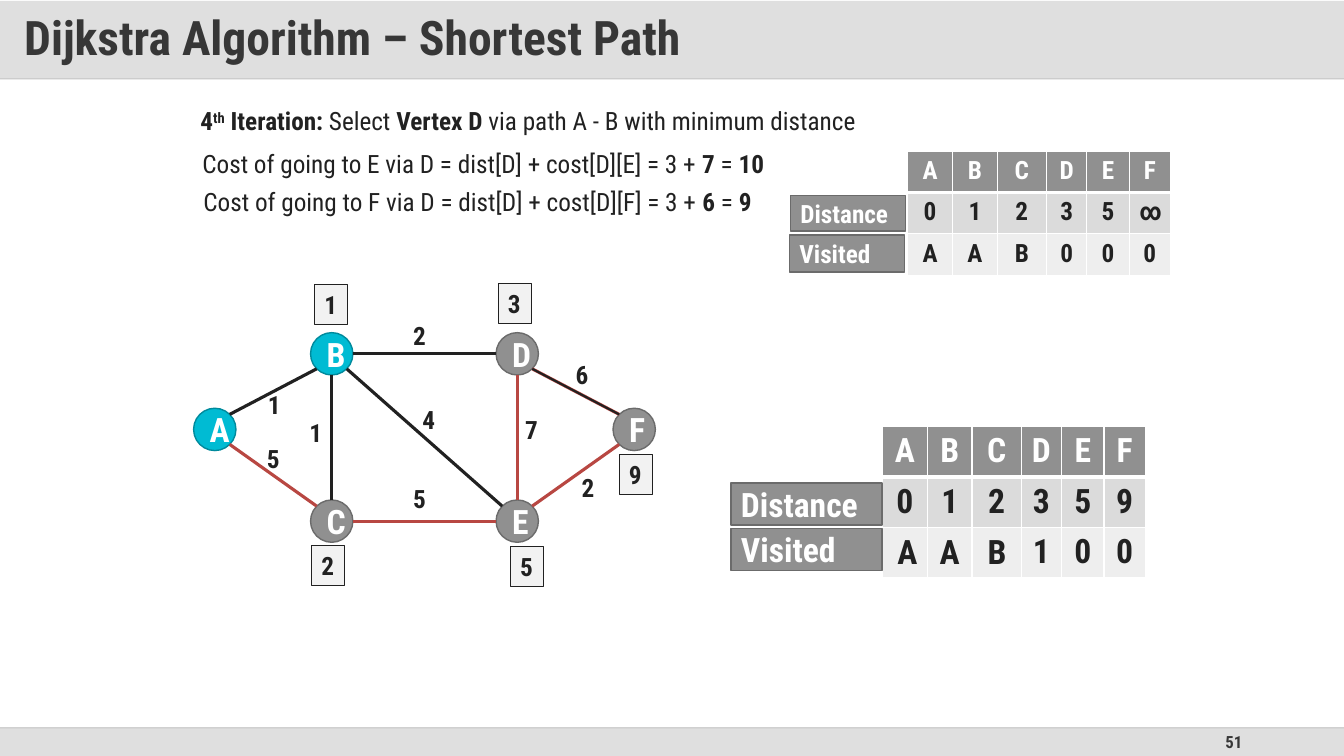
"""Build a slide showing the fourth iteration of Dijkstra's shortest path algorithm."""
from lxml import etree
from pptx import Presentation
from pptx.dml.color import RGBColor
from pptx.enum.shapes import MSO_CONNECTOR, MSO_SHAPE
from pptx.enum.text import MSO_ANCHOR, MSO_AUTO_SIZE, PP_ALIGN
from pptx.oxml.ns import qn
from pptx.util import Pt

RECTANGLE, ELLIPSE = MSO_SHAPE.RECTANGLE, MSO_SHAPE.OVAL
STRAIGHT = MSO_CONNECTOR.STRAIGHT
LEFT, CENTER, RIGHT = PP_ALIGN.LEFT, PP_ALIGN.CENTER, PP_ALIGN.RIGHT
TOP, MIDDLE = MSO_ANCHOR.TOP, MSO_ANCHOR.MIDDLE
GROW = MSO_AUTO_SIZE.SHAPE_TO_FIT_TEXT
FONT = "Roboto Condensed"
EMU_PER_PX = 9144
COLORS = {
    "ink": "212121", "title": "373737", "white": "FFFFFF", "band": "C0C0C0",
    "footer": "DFDFDF", "top rule": "D9D9D9", "bottom rule": "BFBFBF",
    "gray": "909090", "gray edge": "6B6B6B", "cyan": "00BBD3", "cyan edge": "008A9C",
    "red": "B84742", "value": "F2F2F2", "row 1": "DBDBDB", "row 2": "EEEEEE",
}
NODE_SIZE = 42
NODES = {
    "A": (192, 405, "cyan"), "B": (308, 330, "cyan"), "C": (308, 496, "gray"),
    "D": (492, 330, "gray"), "E": (492, 496, "gray"), "F": (608, 405, "gray"),
}
EDGES = [
    ("AB", "ink", 2.25), ("BD", "ink", 2.25), ("DF", "red", 2.25), ("DF", "ink", 1.5),
    ("AC", "red", 2.25), ("CE", "red", 2.25), ("EF", "red", 2.25),
    ("BC", "ink", 2.25), ("DE", "red", 2.25), ("BE", "ink", 2.25),
]
WEIGHTS = [
    ("1", 256, 381), ("1", 297, 409), ("5", 255, 435), ("2", 400, 313), ("4", 409, 396),
    ("7", 511, 406), ("6", 561, 352), ("2", 567, 464), ("5", 400, 475),
]
VALUES = [("1", 312, 282), ("3", 494, 281), ("2", 309, 541), ("5", 506, 542), ("9", 614, 451)]
COLUMNS = [45, 44, 49, 40, 42, 41]


def px(length):
    """Turn pixels into EMU."""
    return round(length * EMU_PER_PX)


def color(name):
    """Return a named colour."""
    return RGBColor.from_string(COLORS[name])


def set_alpha(holder, percent):
    """Make the solid colours inside an element partly transparent."""
    for tone in holder.iter(qn("a:srgbClr")):
        etree.SubElement(tone, qn("a:alpha")).set("val", str(percent * 1000))


def write(frame, spans, size, tone, align=LEFT, anchor=TOP):
    """Fill a text frame with one paragraph of (text, bold) spans."""
    frame.vertical_anchor = anchor
    para = frame.paragraphs[0]
    para.alignment = align
    for text, bold in spans:
        span = para.add_run()
        span.text = text
        span.font.name, span.font.size, span.font.bold = FONT, Pt(size), bold
        span.font.color.rgb = color(tone)
    return para


def add_box(page, kind, place, fill, edge=None, width=1):
    """Add a filled preset shape without shadow."""
    box = page.shapes.add_shape(kind, *map(px, place))
    box.shadow.inherit = False
    box.fill.solid()
    box.fill.fore_color.rgb = color(fill)
    if edge:
        box.line.color.rgb = color(edge)
        box.line.width = Pt(width)
    else:
        box.line.fill.background()
    box.text_frame.word_wrap = True
    return box


def add_text(page, place, spans, size=18, align=LEFT):
    """Add a single-line text box that grows with its text."""
    frame = page.shapes.add_textbox(*map(px, place)).text_frame
    frame.word_wrap = False
    frame.auto_size = GROW
    return write(frame, spans, size, "ink", align)


def add_line(page, start, end, tone, width):
    """Add a straight line without shadow."""
    line = page.shapes.add_connector(STRAIGHT, *map(px, (*start, *end)))
    line.line.color.rgb = color(tone)
    line.line.width = Pt(width)
    etree.SubElement(line._element.spPr, qn("a:effectLst"))
    return line


def add_edge(page, ends, tone, width):
    """Join two nodes between the rim points that face each other."""
    (x1, y1, _), (x2, y2, _) = (NODES[name] for name in ends)
    step_x, step_y = ((b > a) - (b < a) for a, b in ((x1, x2), (y1, y2)))
    radius = NODE_SIZE / 2
    reach = radius * (0.71 if step_x and step_y else 1)
    start = (x1 + radius + step_x * reach, y1 + radius + step_y * reach)
    end = (x2 + radius - step_x * reach, y2 + radius - step_y * reach)
    add_line(page, start, end, tone, width)


def add_node(page, name):
    """Add a graph vertex with its letter."""
    left, top, fill = NODES[name]
    node = add_box(page, ELLIPSE, (left, top, NODE_SIZE, NODE_SIZE), fill, f"{fill} edge")
    write(node.text_frame, [(name, True)], 24, "white", CENTER, MIDDLE)


def add_value(page, text, left, top):
    """Add a boxed tentative distance."""
    frame = add_box(page, RECTANGLE, (left, top, 33, 40), "value", "ink", 0.5).text_frame
    frame.word_wrap = False
    frame.auto_size = GROW
    write(frame, [(text, True)], 18, "ink")


def set_borders(cell, top, bottom):
    """Give a cell white borders."""
    properties = cell._tc.get_or_add_tcPr()
    for side, width in (("L", 1), ("R", 1), ("T", top), ("B", bottom)):
        border = etree.SubElement(properties, qn(f"a:ln{side}"), w=str(Pt(width)))
        fill = etree.SubElement(border, qn("a:solidFill"))
        etree.SubElement(fill, qn("a:srgbClr"), val=COLORS["white"])


def add_distances(page, left, top, row_height, size, rows):
    """Add a table with one column per vertex."""
    place = (left, top, sum(COLUMNS), row_height * len(rows))
    table = page.shapes.add_table(len(rows), len(COLUMNS), *map(px, place)).table
    table.horz_banding = False
    for column, width in zip(table.columns, COLUMNS):
        column.width = px(width)
    for i, row in enumerate(rows):
        table.rows[i].height = px(row_height)
        for j, text in enumerate(row):
            cell = table.cell(i, j)
            set_borders(cell, 3 if i == 1 else 1, 3 if i == 0 else 1)
            cell.fill.solid()
            cell.fill.fore_color.rgb = color(f"row {i}" if i else "gray")
            if text.strip():
                write(cell.text_frame, [(text, True)], size, "ink" if i else "white", CENTER)


def add_row_label(page, text, place, size):
    """Add a gray label beside a table row."""
    label = add_box(page, RECTANGLE, place, "gray", "gray edge")
    write(label.text_frame, [(text, True)], size, "white", LEFT, MIDDLE)


def add_frame(page):
    """Add the title band, the footer band, the rules and the page number."""
    add_box(page, RECTANGLE, (0, 722, 1333, 28), "footer")
    number = page.shapes.add_textbox(*map(px, (942, 722, 300, 28))).text_frame
    write(number, [("51", True)], 12, "title", RIGHT, MIDDLE)
    add_line(page, (0, 78), (1333, 78), "top rule", 1)
    set_alpha(add_line(page, (0, 722), (1333, 722), "bottom rule", 1)._element.spPr, 70)
    band = add_box(page, RECTANGLE, (0, 1, 1333, 78), "band")
    set_alpha(band._element.spPr, 50)
    frame = band.text_frame
    frame.margin_left = frame.margin_right = px(24)
    frame.margin_top = frame.margin_bottom = px(12)
    title = [("Dijkstra Algorithm – Shortest Path", True)]
    write(frame, title, 34, "title", LEFT, MIDDLE).line_spacing = 0.9


def main():
    """Build and save the deck."""
    deck = Presentation()
    deck.slide_width, deck.slide_height = px(1333), px(750)
    page = deck.slides.add_slide(deck.slide_layouts[6])
    add_frame(page)
    heading = add_text(page, (189, 100, 696, 40), [
        ("4", True), ("th", True), (" Iteration: ", True), ("Select ", False),
        ("Vertex D", True), (" via path A - B with minimum distance", False)])
    heading.runs[1]._r.get_or_add_rPr().set("baseline", "30000")
    for target, cost, total, place in (("E", "7", "10", (191, 142, 596, 40)),
                                       ("F", "6", "9", (192, 180, 570, 40))):
        formula = f"Cost of going to {target} via D = dist[D] + cost[D][{target}] = 3 + "
        add_text(page, place, [(formula, False), (cost, True), (" = ", False), (total, True)])
    add_distances(page, 900, 150, 41, 18, ["ABCDEF", "01235∞", "AAB000"])
    add_row_label(page, "Distance", (784, 194, 114, 35), 18)
    add_row_label(page, "Visited", (783, 233, 114, 37), 18)
    for name in NODES:
        add_node(page, name)
    for edge in EDGES:
        add_edge(page, *edge)
    for text, left, top in WEIGHTS:
        add_text(page, (left, top, 33, 40), [(text, True)])
    for value in VALUES:
        add_value(page, *value)
    add_distances(page, 875, 423, 50, 24, ["ABCDEF", "012359", "   100"])
    add_row_label(page, "Distance", (725, 479, 150, 42), 24)
    add_row_label(page, "Visited", (725, 524, 150, 42), 24)
    for text, left in (("A", 880), ("A", 922), ("B", 969)):
        add_text(page, (left, 522, 40, 50), [(text, True)], 24, CENTER)
    deck.save("out.pptx")


if __name__ == "__main__":
    main()
